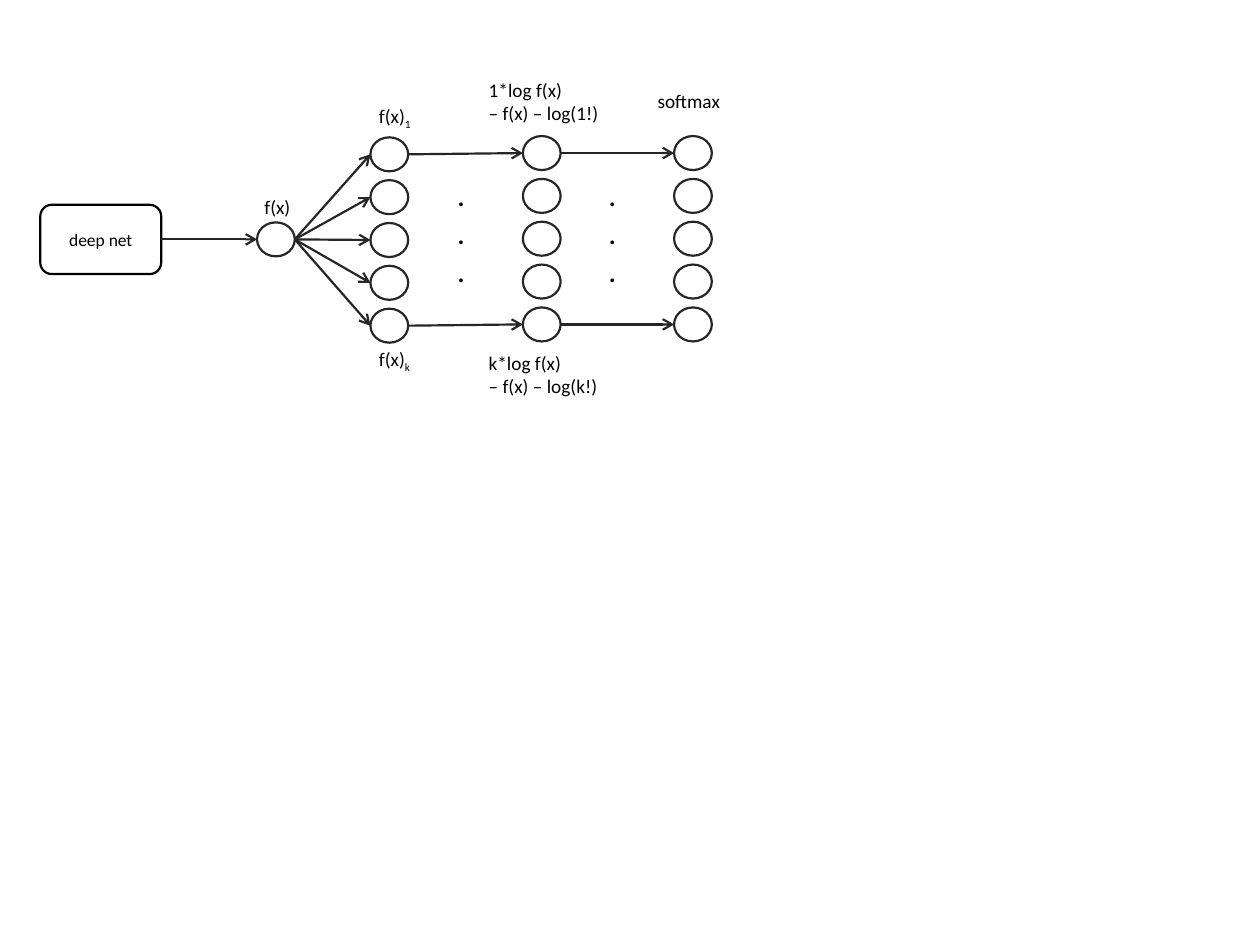
"""Build a slide with a network diagram from a deep net to a softmax layer."""
from lxml.etree import SubElement
from pptx import Presentation
from pptx.dml.color import RGBColor
from pptx.enum.shapes import MSO_CONNECTOR, MSO_SHAPE
from pptx.enum.text import MSO_ANCHOR, MSO_AUTO_SIZE, PP_ALIGN
from pptx.oxml.ns import qn
from pptx.util import Inches, Pt

BLACK = RGBColor(0x00, 0x00, 0x00)
DARK = RGBColor(0x26, 0x26, 0x26)
WHITE = RGBColor(0xFF, 0xFF, 0xFF)

NODE_WIDTH, NODE_HEIGHT = 0.3, 0.27
ROWS, ROW_PITCH = 5, 0.34
AXIS = 1.9
INPUT_LEFT = 2.04
LAYERS = [(2.94, 1.09), (4.15, 1.08), (5.35, 1.08)]
NET_LEFT, NET_WIDTH, NET_HEIGHT = 0.32, 0.96, 0.55

presentation = Presentation()
presentation.slide_width, presentation.slide_height = Inches(10), Inches(7.5)
slide = presentation.slides.add_slide(presentation.slide_layouts[6])


def add_arrow(start, end):
    points = [Inches(value) for value in (*start, *end)]
    arrow = slide.shapes.add_connector(MSO_CONNECTOR.STRAIGHT, *points)
    arrow.line.color.rgb = DARK
    arrow.line.width = Pt(1.25)
    SubElement(arrow.line._get_or_add_ln(), qn("a:tailEnd"), type="arrow")
    SubElement(arrow._element.spPr, qn("a:effectLst"))


def format_runs(paragraph, size):
    for run in paragraph.runs:
        run.font.name = "Calibri"
        run.font.size = Pt(size)
        run.font.color.rgb = BLACK


centers = [[top + NODE_HEIGHT / 2 + row * ROW_PITCH for row in range(ROWS)]
           for left, top in LAYERS]
nodes = [(INPUT_LEFT, AXIS)]
for (left, top), layer_centers in zip(LAYERS, centers):
    nodes += [(left, center) for center in layer_centers]

for left, center in nodes:
    node = slide.shapes.add_shape(
        MSO_SHAPE.OVAL, Inches(left), Inches(center - NODE_HEIGHT / 2),
        Inches(NODE_WIDTH), Inches(NODE_HEIGHT))
    node.shadow.inherit = False
    node.fill.solid()
    node.fill.fore_color.rgb = WHITE
    node.line.color.rgb = DARK
    node.line.width = Pt(1.25)

deep_net = slide.shapes.add_shape(
    MSO_SHAPE.ROUNDED_RECTANGLE, Inches(NET_LEFT), Inches(AXIS - NET_HEIGHT / 2),
    Inches(NET_WIDTH), Inches(NET_HEIGHT))
deep_net.shadow.inherit = False
deep_net.fill.background()
deep_net.line.color.rgb = BLACK
deep_net.line.width = Pt(1.25)
deep_net.text_frame.text = "deep net"
deep_net.text_frame.vertical_anchor = MSO_ANCHOR.MIDDLE
deep_net.text_frame.paragraphs[0].alignment = PP_ALIGN.CENTER
format_runs(deep_net.text_frame.paragraphs[0], 10)

add_arrow((NET_LEFT + NET_WIDTH, AXIS), (INPUT_LEFT, AXIS))
for center in centers[0]:
    add_arrow((INPUT_LEFT + NODE_WIDTH, AXIS), (LAYERS[0][0], center))
for layer in range(len(LAYERS) - 1):
    for row in (0, ROWS - 1):
        add_arrow((LAYERS[layer][0] + NODE_WIDTH, centers[layer][row]),
                  (LAYERS[layer + 1][0], centers[layer + 1][row]))

labels = [
    (2, 1.5, 0.41, 0.29, 11, "f(x)", ""),
    (2.91, 0.78, 0.47, 0.29, 11, "f(x)", "1"),
    (2.91, 2.71, 0.47, 0.29, 11, "f(x)", "k"),
    (3.78, 0.57, 1.08, 0.47, 11, "1*log f(x) \n– f(x) – log(1!)", ""),
    (3.78, 2.74, 1.07, 0.47, 11, "k*log f(x) \n– f(x) – log(k!)", ""),
    (5.12, 0.66, 0.71, 0.29, 11, "softmax", ""),
    (3.53, 1.34, 0.27, 1.01, 18, ".\n.\n.", ""),
    (4.73, 1.34, 0.27, 1.01, 18, ".\n.\n.", ""),
]
for left, top, width, height, size, text, subscript in labels:
    label = slide.shapes.add_textbox(
        Inches(left), Inches(top), Inches(width), Inches(height))
    frame = label.text_frame
    frame.word_wrap = False
    frame.auto_size = MSO_AUTO_SIZE.SHAPE_TO_FIT_TEXT
    frame.text = text
    if subscript:
        run = frame.paragraphs[0].add_run()
        run.text = subscript
        run.font._element.set("baseline", "-25000")
    for paragraph in frame.paragraphs:
        format_runs(paragraph, size)

presentation.save("out.pptx")
